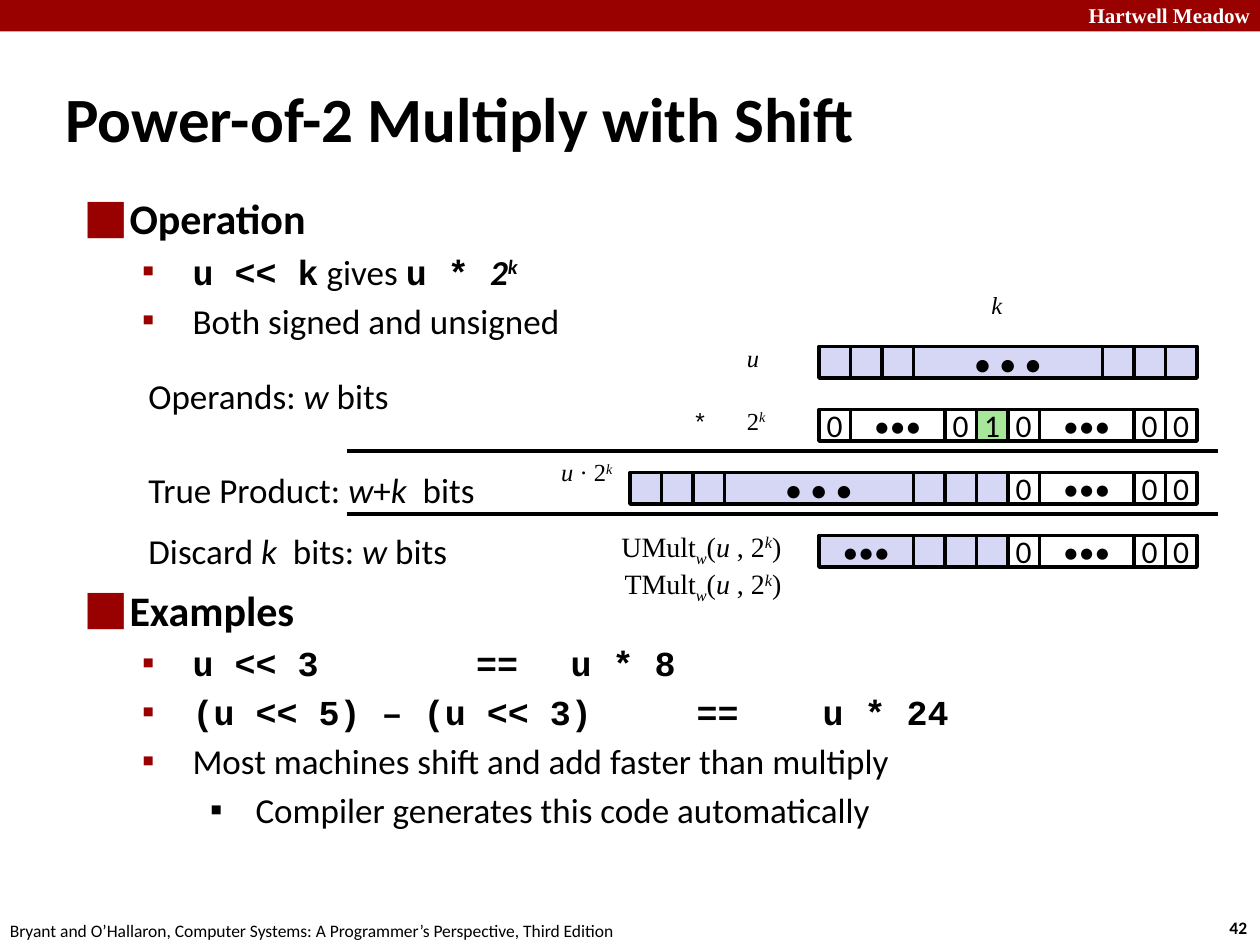
from dataclasses import dataclass

from lxml import etree
from pptx import Presentation
from pptx.dml.color import RGBColor
from pptx.enum.shapes import MSO_CONNECTOR, MSO_SHAPE
from pptx.enum.text import MSO_ANCHOR, MSO_AUTO_SIZE, PP_ALIGN
from pptx.oxml.ns import qn
from pptx.util import Pt

PX = 9144
LEFT, CENTER, RIGHT = PP_ALIGN.LEFT, PP_ALIGN.CENTER, PP_ALIGN.RIGHT
TOP, MIDDLE = MSO_ANCHOR.TOP, MSO_ANCHOR.MIDDLE
RECTANGLE, STRAIGHT = MSO_SHAPE.RECTANGLE, MSO_CONNECTOR.STRAIGHT
GROW, FIXED = MSO_AUTO_SIZE.SHAPE_TO_FIT_TEXT, MSO_AUTO_SIZE.NONE
SANS, SERIF, MONO, ARIAL = "Calibri", "Times New Roman", "Courier New", "Arial"
BLACK, WHITE, RED, LAVENDER, GREEN = "000000", "FFFFFF", "990000", "D6D6F5", "A8E799"
BIT = 25
TAB_STOPS = (325, 400, 500, 600)


@dataclass(frozen=True)
class Run:
    text: str
    size: int = 20
    font: str = SANS
    bold: bool = False
    italic: bool = False
    baseline: int = 0
    color: str = BLACK


@dataclass(frozen=True)
class Level:
    margin: int
    indent: int
    before: float
    bullet: str
    color: str


@dataclass(frozen=True)
class Item:
    level: Level
    runs: list[Run]
    gap: float = 0


@dataclass(frozen=True)
class Label:
    left: int
    top: int
    width: int
    height: int
    runs: list[Run]
    align: PP_ALIGN = LEFT
    anchor: MSO_ANCHOR = TOP
    fixed: bool = False


@dataclass(frozen=True)
class Cell:
    bits: int
    text: str
    fill: str
    size: int = 18


@dataclass(frozen=True)
class Register:
    left: int
    top: int
    cells: list[Cell]


def rgb(color: str) -> RGBColor:
    return RGBColor.from_string(color)


def add_runs(paragraph, runs: list[Run]) -> None:
    for item in runs:
        run = paragraph.add_run()
        run.text = item.text
        run.font.size = Pt(item.size)
        run.font.name = item.font
        run.font.bold = item.bold
        run.font.italic = item.italic
        run.font.color.rgb = rgb(item.color)
        if item.baseline:
            run.font._element.set("baseline", str(item.baseline * 1000))


def add_box(slide, left: int, top: int, width: int, height: int):
    return slide.shapes.add_textbox(left * PX, top * PX, width * PX, height * PX)


def add_label(slide, label: Label) -> None:
    frame = add_box(slide, label.left, label.top, label.width, label.height).text_frame
    frame.word_wrap = label.fixed
    frame.auto_size = FIXED if label.fixed else GROW
    frame.vertical_anchor = label.anchor
    frame.paragraphs[0].alignment = label.align
    add_runs(frame.paragraphs[0], label.runs)


def add_rectangle(slide, left: int, top: int, width: int, height: int, fill: str):
    shape = slide.shapes.add_shape(RECTANGLE, left * PX, top * PX, width * PX, height * PX)
    shape.shadow.inherit = False
    shape.fill.solid()
    shape.fill.fore_color.rgb = rgb(fill)
    shape.line.fill.background()
    return shape


def add_register(slide, register: Register) -> None:
    left = register.left
    for cell in register.cells:
        shape = add_rectangle(slide, left, register.top, cell.bits * BIT, BIT, cell.fill)
        shape.line.color.rgb = rgb(BLACK)
        shape.line.width = Pt(2)
        left += cell.bits * BIT
        if cell.text:
            frame = shape.text_frame
            frame.word_wrap = False
            frame.vertical_anchor = MIDDLE
            frame.paragraphs[0].alignment = CENTER
            add_runs(frame.paragraphs[0], [Run(cell.text, cell.size)])


def add_rule(slide, left: int, right: int, top: int) -> None:
    line = slide.shapes.add_connector(STRAIGHT, left * PX, top * PX, right * PX, top * PX)
    line.line.color.rgb = rgb(BLACK)
    line.line.width = Pt(2)
    etree.SubElement(line._element.spPr, qn("a:effectLst"))


def add_outline(slide, items: list[Item]) -> None:
    frame = add_box(slide, 43, 148, 864, 544).text_frame
    frame.word_wrap = True
    for index, item in enumerate(items):
        paragraph = frame.add_paragraph() if index else frame.paragraphs[0]
        level = item.level
        paragraph.space_before = Pt(level.before + item.gap)
        properties = paragraph._p.get_or_add_pPr()
        properties.set("marL", str(level.margin * PX))
        properties.set("indent", str(level.indent * PX))
        bullet_color = etree.SubElement(properties, qn("a:buClr"))
        etree.SubElement(bullet_color, qn("a:srgbClr"), val=level.color)
        etree.SubElement(properties, qn("a:buFont"), typeface=SANS)
        etree.SubElement(properties, qn("a:buChar"), char=level.bullet)
        tabs = etree.SubElement(properties, qn("a:tabLst"))
        for stop in TAB_STOPS:
            etree.SubElement(tabs, qn("a:tab"), pos=str(stop * PX), algn="l")
        add_runs(paragraph, item.runs)


def product_runs(name: str) -> list[Run]:
    return [Run(name, 16, SERIF), Run("w", 16, SERIF, italic=True, baseline=-25),
            Run("(", 16, SERIF), Run("u", 16, SERIF, italic=True), Run(" , 2", 16, SERIF),
            Run("k", 16, SERIF, italic=True, baseline=30), Run(")", 16, SERIF)]


HEADING = Level(50, -35, 4.8, "⬛", RED)
POINT = Level(100, -40, 4, "▪", RED)
DETAIL = Level(150, -36, 4, "▪", BLACK)
OUTLINE = [
    Item(HEADING, [Run("Operation", 24, bold=True)]),
    Item(POINT, [Run("u << k", font=MONO, bold=True), Run(" gives "),
                 Run("u * ", font=MONO, bold=True), Run("2", bold=True, italic=True),
                 Run("k", bold=True, italic=True, baseline=30)]),
    Item(POINT, [Run("Both signed and unsigned")]),
    Item(HEADING, [Run("Examples", 24, bold=True)], gap=134.2),
    Item(POINT, [Run("u << 3\t==\tu * 8", font=MONO, bold=True)]),
    Item(POINT, [Run("(u << 5) – (u << 3)\t==\tu * 24", font=MONO, bold=True)]),
    Item(POINT, [Run("Most machines shift and add faster than multiply")]),
    Item(DETAIL, [Run("Compiler generates this code automatically")]),
]

W, K, U = Run("w", italic=True), Run("k", italic=True), Run("u", 14, SERIF, italic=True)
SMALL_K = Run("k", 14, SERIF, italic=True)
EXPONENT = Run("k", 14, SERIF, italic=True, baseline=30)
LABELS = [
    Label(800, -3, 202, 30, [Run("Hartwell Meadow", 12, SERIF, bold=True, color=WHITE)],
          RIGHT, fixed=True),
    Label(966, 723, 37, 27, [Run("42", 10, bold=True)]),
    Label(-2, 725, 508, 27, [Run("Bryant and O’Hallaron, Computer Systems: "
                                 "A Programmer’s Perspective, Third Edition", 10)]),
    Label(42, 62, 809, 63, [Run("Power-of-2 Multiply with Shift", 36, bold=True)], anchor=MIDDLE),
    Label(777, 225, 31, 40, [SMALL_K]),
    Label(583, 267, 33, 40, [U]),
    Label(583, 317, 40, 40, [Run("2", 14, SERIF), EXPONENT]),
    Label(542, 317, 35, 40, [Run("*", 14, ARIAL)]),
    Label(425, 358, 71, 40, [U, Run(" · 2", 14, SERIF), EXPONENT], RIGHT),
    Label(108, 292, 213, 44, [Run("Operands: "), W, Run(" bits")]),
    Label(108, 367, 281, 44, [Run("True Product: "), W, Run("+"), K, Run("  bits")]),
    Label(108, 415, 267, 44, [Run("Discard "), K, Run("  bits: "), W, Run(" bits")]),
    Label(479, 415, 151, 37, product_runs("UMult"), RIGHT),
    Label(481, 445, 149, 37, product_runs("TMult"), RIGHT),
]

BLANK = Cell(1, "", LAVENDER)
ZERO = Cell(1, "0", WHITE)
ONE = Cell(1, "1", GREEN)
ZEROS = Cell(3, "•••", WHITE)
MIDDLE_BITS = Cell(6, "• • •", LAVENDER, 20)
OPERAND = [BLANK] * 3 + [MIDDLE_BITS] + [BLANK] * 3
LOW_ZEROS = [ZERO, ZEROS, ZERO, ZERO]
REGISTERS = [
    Register(650, 275, OPERAND),
    Register(650, 325, [ZERO, ZEROS, ZERO, ONE] + LOW_ZEROS),
    Register(500, 375, OPERAND + LOW_ZEROS),
    Register(650, 425, [Cell(3, "•••", LAVENDER)] + [BLANK] * 3 + LOW_ZEROS),
]

presentation = Presentation()
presentation.slide_width, presentation.slide_height = 1000 * PX, 750 * PX
slide = presentation.slides.add_slide(presentation.slide_layouts[6])
add_rectangle(slide, 0, 0, 1000, 25, RED)
add_outline(slide, OUTLINE)
for register in REGISTERS:
    add_register(slide, register)
for top in (358, 408):
    add_rule(slide, 275, 967, top)
for label in LABELS:
    add_label(slide, label)
presentation.save("out.pptx")
